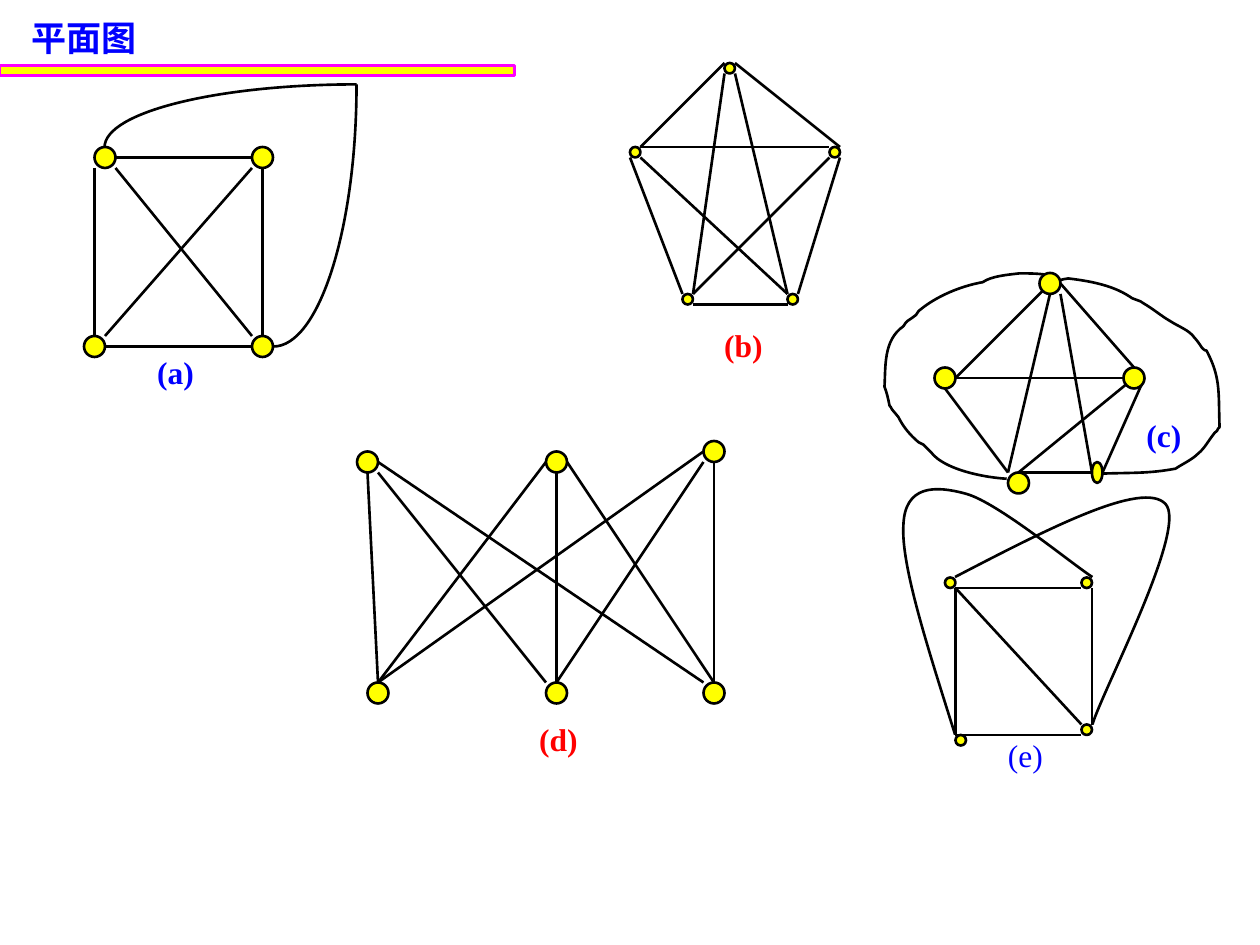
from lxml import etree
from pptx import Presentation
from pptx.dml.color import RGBColor
from pptx.enum.shapes import MSO_CONNECTOR as Connector, MSO_SHAPE as Shape
from pptx.enum.text import MSO_AUTO_SIZE as AutoSize
from pptx.oxml.ns import qn
from pptx.util import Cm, Pt

GRID = Cm(2.54) / 12       # nodes and edges sit on a grid of 120 x 90
FINE = Cm(2.54) / 100      # curves are given in hundredths of the same base
BLACK, YELLOW, BLUE, RED, MAGENTA = "000000", "FFFF00", "0000FF", "FF0000", "FF00FF"
color = RGBColor.from_string


def outline(shape, line_color=BLACK, width=1.5):
    shape.line.color.rgb = color(line_color)
    shape.line.width = Pt(width)


def add_text(shapes, text, left, top, width, height, text_color, size=18, bold=True, wrap=False):
    box = shapes.add_textbox(Cm(left), Cm(top), Cm(width), Cm(height))
    text_frame = box.text_frame
    text_frame.text = text
    text_frame.word_wrap = wrap
    text_frame.auto_size = AutoSize.SHAPE_TO_FIT_TEXT
    font = text_frame.paragraphs[0].runs[0].font
    font.name = "Times New Roman"
    font.size = Pt(size)
    font.bold = bold
    font.color.rgb = color(text_color)


presentation = Presentation()
presentation.slide_width, presentation.slide_height = Cm(25.4), Cm(19.05)
slide = presentation.slides.add_slide(presentation.slide_layouts[6])

# Each graph: edges (x1, y1, x2, y2), nodes (x, y, width, height), a label and
# curves (start point followed by three points for each Bézier segment)
graph_a = {
    "edges": [(10, 33, 24, 33), (9, 16, 9, 32), (11, 15, 24, 15),
              (25, 16, 25, 32), (11, 16, 24, 32), (10, 32, 24, 16)],
    "curves": [[(217, 275), (253, 275), (283, 182), (283, 67)],
               [(283, 67), (173, 67), (83, 89), (83, 117)]],
    "nodes": [(x, y, 2, 2) for x, y in [(9, 14), (24, 14), (8, 32), (24, 32)]],
    "label": ("(a)", 2.92, 6.99, 1.25, 1.02, BLUE),
    "grouped": ["curves"],
}
graph_b = {
    "edges": [(66, 29, 75, 29), (61, 14, 69, 6), (70, 6, 80, 14), (60, 15, 65, 28),
              (80, 15, 76, 28), (61, 14, 79, 14), (69, 7, 66, 28), (70, 7, 75, 28),
              (66, 28, 79, 15), (75, 28, 61, 15)],
    "curves": [],
    "nodes": [(x, y, 1, 1) for x, y in [(60, 14), (79, 14), (69, 6), (65, 28), (75, 28)]],
    "label": ("(b)", 14.35, 6.45, 1.32, 1.02, RED),
    "grouped": ["edges", "nodes", "label"],
}
graph_d = {
    "edges": [(35, 45, 36, 65), (36, 45, 52, 65), (36, 44, 67, 65),
              (52, 44, 36, 65), (53, 45, 53, 65), (54, 44, 68, 65),
              (36, 65, 67, 43), (53, 65, 67, 44), (68, 65, 68, 44)],
    "curves": [],
    "nodes": [(x, y, 2, 2) for x, y in
              [(34, 43), (52, 43), (67, 42), (35, 65), (52, 65), (67, 65)]],
    "label": ("(d)", 10.62, 14.4, 1.32, 1.02, RED),
    "grouped": ["edges", "nodes", "label"],
}
graph_c = {
    "edges": [(91, 36, 108, 36), (100, 28, 96, 45), (101, 28, 104, 45),
              (100, 27, 91, 36), (101, 27, 108, 35), (90, 37, 96, 45),
              (97, 45, 104, 45), (109, 36, 105, 45), (97, 45, 108, 36)],
    "curves": [
        [(799, 380), (782, 379), (757, 374), (744, 364), (742, 362), (740, 361),
         (739, 359), (737, 357), (735, 355), (733, 353), (732, 352), (730, 352),
         (729, 351), (722, 345), (717, 339), (713, 331), (711, 329), (710, 327),
         (708, 325), (708, 324), (706, 322), (706, 322), (705, 317), (704, 312),
         (702, 307), (703, 291), (701, 270), (717, 259), (721, 253), (718, 257),
         (727, 250), (728, 249), (728, 248), (729, 247), (743, 235), (763, 227),
         (780, 224), (787, 219), (801, 218), (809, 217), (816, 217), (823, 217),
         (830, 218), (833, 218), (840, 220), (840, 224)],
        [(871, 376), (900, 375), (911, 376), (933, 372), (939, 368), (946, 365),
         (951, 360), (956, 356), (959, 350), (963, 345), (963, 344), (965, 343),
         (966, 342), (966, 341), (967, 340), (968, 339), (967, 313), (969, 301),
         (959, 281), (956, 275), (959, 281), (954, 276), (952, 273), (950, 270),
         (948, 268), (944, 262), (935, 259), (929, 255), (922, 251), (915, 245),
         (908, 241), (905, 238), (899, 238), (896, 235), (882, 226), (864, 223),
         (848, 221), (842, 222), (840, 222), (836, 226)],
    ],
    "nodes": [(89, 35, 2, 2), (96, 45, 2, 2), (104, 44, 1, 2), (107, 35, 2, 2), (99, 26, 2, 2)],
    "label": ("(c)", 22.86, 8.26, 1.22, 1.02, BLUE),
    "grouped": [],
}
graph_e = {
    "edges": [(91, 70, 103, 70), (91, 56, 91, 70), (91, 56, 103, 56),
              (104, 56, 104, 69), (91, 56, 103, 69)],
    "curves": [[(758, 583), (737, 516), (715, 449), (717, 417), (718, 385), (742, 385),
                (767, 392), (792, 399), (850, 447), (867, 458)],
               [(758, 458), (833, 419), (907, 381), (925, 400), (943, 419), (876, 546),
                (867, 575)]],
    "nodes": [(x, y, 1, 1) for x, y in [(90, 55), (103, 55), (103, 69), (91, 70)]],
    "label": ("(e)", 20.07, 14.71, 1.22, 1.02, BLUE, 18, False),
    "grouped": [],
}

# Graphs
for graph in (graph_a, graph_b, graph_d, graph_c, graph_e):
    target = dict.fromkeys(("edges", "curves", "nodes", "label"), slide.shapes)
    if graph["grouped"]:
        group = slide.shapes.add_group_shape()
        target.update(dict.fromkeys(graph["grouped"], group.shapes))

    for edge in graph["edges"]:
        ends = [round(value * GRID) for value in edge]
        connector = target["edges"].add_connector(Connector.STRAIGHT, *ends)
        outline(connector)
        etree.SubElement(connector._element.spPr, qn("a:effectLst"))

    for curve in graph["curves"]:
        start, *points = [(round(x * FINE), round(y * FINE)) for x, y in curve]
        builder = target["curves"].build_freeform(*start)
        builder.add_line_segments(points, close=False)
        arc = builder.convert_to_shape()
        arc.shadow.inherit = False
        arc.fill.background()
        outline(arc)
        # Every three line pieces become one Bézier segment
        pieces = list(arc._element.iter(qn("a:lnTo")))
        for first in range(0, len(pieces), 3):
            segment = etree.Element(qn("a:cubicBezTo"))
            pieces[first].addprevious(segment)
            for piece in pieces[first:first + 3]:
                segment.append(piece[0])
                piece.getparent().remove(piece)

    for node in graph["nodes"]:
        bounds = [round(value * GRID) for value in node]
        ellipse = target["nodes"].add_shape(Shape.OVAL, *bounds)
        ellipse.shadow.inherit = False
        ellipse.fill.solid()
        ellipse.fill.fore_color.rgb = color(YELLOW)
        outline(ellipse)

    add_text(target["label"], *graph["label"])

# Title and the bar under it
bar = slide.shapes.add_shape(Shape.RECTANGLE, 0, Cm(1.32), Cm(10.37), Cm(0.21))
bar.shadow.inherit = False
bar.fill.solid()
bar.fill.fore_color.rgb = color(YELLOW)
outline(bar, MAGENTA, 1.75)
add_text(slide.shapes, "平面图", 0.38, 0.2, 6.8, 1.1, BLUE, size=20, wrap=True)

presentation.save("out.pptx")
